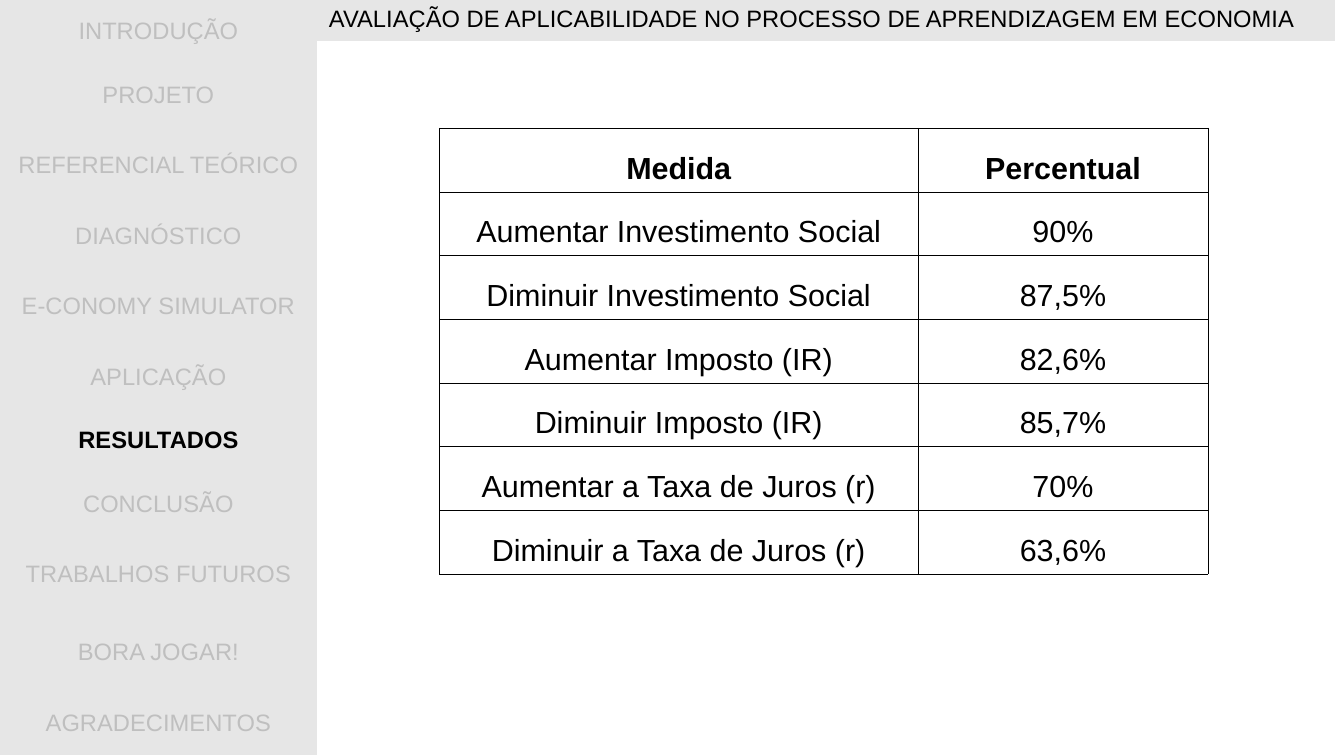
from lxml import etree
from pptx import Presentation
from pptx.dml.color import RGBColor
from pptx.enum.text import MSO_ANCHOR, PP_ALIGN
from pptx.oxml.ns import qn
from pptx.util import Cm, Pt

MIDDLE = MSO_ANCHOR.MIDDLE
LEFT, CENTER = PP_ALIGN.LEFT, PP_ALIGN.CENTER

BLACK = RGBColor(0x00, 0x00, 0x00)
PANEL = RGBColor(0xE6, 0xE6, 0xE6)
MUTED = RGBColor(0xBF, 0xBF, 0xBF)

FONT = "Arial"
PLAIN_STYLE = "{2D5ABB26-0587-4C30-8999-92F81FD0307C}"
BORDER = Pt(0.34)

SLIDE_W, SLIDE_H = 28, 15.75
SIDEBAR_W = 6.6
HEADER_W, HEADER_H = 21.21, 0.85
LOW_ROW, TALL_ROW = 1.32, 1.62

HEADER = "AVALIAÇÃO DE APLICABILIDADE NO PROCESSO DE APRENDIZAGEM EM ECONOMIA"
CURRENT = "RESULTADOS"
SECTIONS = [
    ("INTRODUÇÃO", LOW_ROW),
    ("PROJETO", LOW_ROW),
    ("REFERENCIAL TEÓRICO", TALL_ROW),
    ("DIAGNÓSTICO", LOW_ROW),
    ("E-CONOMY SIMULATOR", TALL_ROW),
    ("APLICAÇÃO", LOW_ROW),
    (CURRENT, LOW_ROW),
    ("CONCLUSÃO", LOW_ROW),
    ("TRABALHOS FUTUROS", TALL_ROW),
    ("BORA JOGAR!", TALL_ROW),
    ("AGRADECIMENTOS", LOW_ROW),
]
RESULTS = [
    ("Medida", "Percentual"),
    ("Aumentar Investimento Social", "90%"),
    ("Diminuir Investimento Social", "87,5%"),
    ("Aumentar Imposto (IR)", "82,6%"),
    ("Diminuir Imposto (IR)", "85,7%"),
    ("Aumentar a Taxa de Juros (r)", "70%"),
    ("Diminuir a Taxa de Juros (r)", "63,6%"),
]


def write(tf, text, size, color, align, bold=False):
    tf.text = text
    p = tf.paragraphs[0]
    p.alignment = align
    font = p.runs[0].font
    font.name, font.size, font.bold = FONT, Pt(size), bold
    font.color.rgb = color
    return p


def add_plain_table(s, left, top, widths, heights):
    """Add a table with no banding, fills or borders of its own."""
    frame = s.shapes.add_table(len(heights), len(widths), Cm(left), Cm(top),
                               Cm(sum(widths)), Cm(sum(heights)))
    table = frame.table
    table.first_row = table.horz_banding = False
    frame._element.find(".//" + qn("a:tableStyleId")).text = PLAIN_STYLE
    for column, width in zip(table.columns, widths):
        column.width = Cm(width)
    for row, height in zip(table.rows, heights):
        row.height = Cm(height)
    return table


def add_borders(cell):
    tcPr = cell._tc.get_or_add_tcPr()
    for side in ("lnL", "lnR", "lnT", "lnB"):
        ln = etree.SubElement(tcPr, qn("a:" + side), w=str(BORDER))
        fill = etree.SubElement(ln, qn("a:solidFill"))
        etree.SubElement(fill, qn("a:srgbClr"), val=str(BLACK))


def fill_panel(cell):
    cell.fill.solid()
    cell.fill.fore_color.rgb = PANEL


def add_header(s):
    cell = add_plain_table(s, SIDEBAR_W, 0, [HEADER_W], [HEADER_H]).cell(0, 0)
    fill_panel(cell)
    write(cell.text_frame, HEADER, 14, BLACK, LEFT)


def add_sidebar(s):
    table = add_plain_table(s, 0, 0, [SIDEBAR_W], [height for _, height in SECTIONS])
    for i, (name, _) in enumerate(SECTIONS):
        cell = table.cell(i, 0)
        fill_panel(cell)
        cell.vertical_anchor = MIDDLE
        active = name == CURRENT
        write(cell.text_frame, name, 14, BLACK if active else MUTED, CENTER, active)


def add_results(s):
    table = add_plain_table(s, 9.16, 2.67, [9.96, 6.05], [1.27] * len(RESULTS))
    table.first_row = True
    for i, row in enumerate(RESULTS):
        for j, text in enumerate(row):
            cell = table.cell(i, j)
            add_borders(cell)
            cell.fill.background()
            cell.margin_left = cell.margin_right = Cm(0.1)
            cell.margin_top = cell.margin_bottom = Cm(0.13)
            p = write(cell.text_frame, text, 18, BLACK, CENTER, bold=i == 0)
            p.line_spacing = 1.5


def main():
    prs = Presentation()
    prs.slide_width, prs.slide_height = Cm(SLIDE_W), Cm(SLIDE_H)
    s = prs.slides.add_slide(prs.slide_layouts[6])
    add_header(s)
    add_sidebar(s)
    add_results(s)
    prs.save("out.pptx")


if __name__ == "__main__":
    main()
